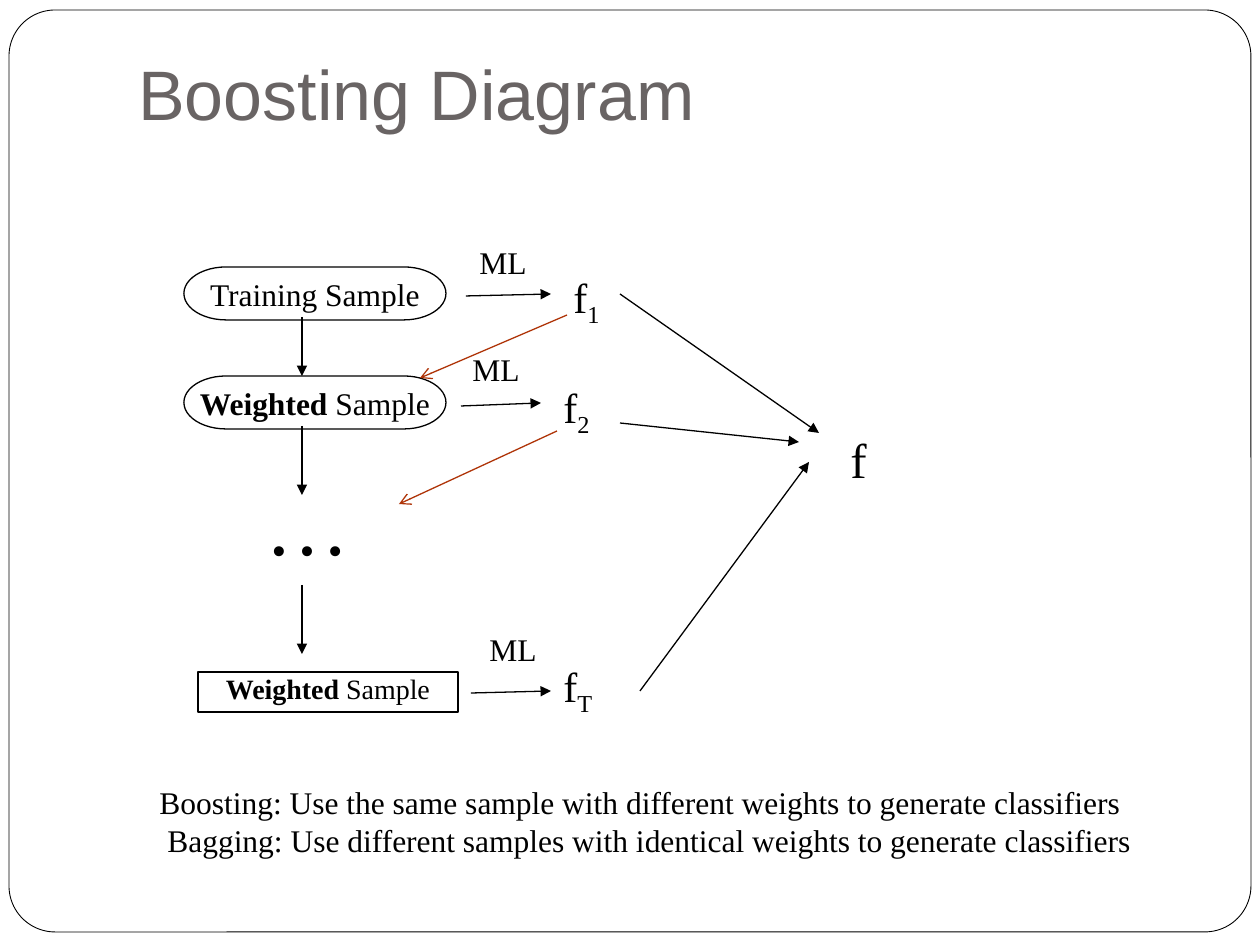
from dataclasses import dataclass

from lxml import etree
from pptx import Presentation
from pptx.dml.color import RGBColor
from pptx.enum.shapes import MSO_CONNECTOR, MSO_SHAPE
from pptx.enum.text import MSO_ANCHOR, MSO_AUTO_SIZE, PP_ALIGN
from pptx.oxml.ns import qn
from pptx.util import Emu, Pt

STRAIGHT = MSO_CONNECTOR.STRAIGHT
ROUNDED = MSO_SHAPE.ROUNDED_RECTANGLE
TERMINATOR = MSO_SHAPE.FLOWCHART_TERMINATOR
RECTANGLE = MSO_SHAPE.RECTANGLE
TOP, MIDDLE, BOTTOM = MSO_ANCHOR.TOP, MSO_ANCHOR.MIDDLE, MSO_ANCHOR.BOTTOM
GROW = MSO_AUTO_SIZE.SHAPE_TO_FIT_TEXT
CENTER = PP_ALIGN.CENTER
EMU_PER_PX = 914400 / 126


@dataclass(frozen=True)
class Theme:
    ink: RGBColor = RGBColor(0, 0, 0)
    paper: RGBColor = RGBColor(255, 255, 255)
    heading: RGBColor = RGBColor(0x69, 0x64, 0x64)
    feedback: RGBColor = RGBColor(0xAF, 0x34, 0x08)
    heading_font: str = "Arial"
    body_font: str = "Times New Roman"
    heading_size: int = 40
    body_size: int = 18
    small_size: int = 16
    classifier_size: int = 24
    final_size: int = 28
    dots_size: int = 48
    frame_width: float = 0.5
    line_width: float = 0.75


THEME = Theme()


def px(length):
    return Emu(round(length * EMU_PER_PX))


def style_font(paragraph, size, name=THEME.body_font, color=THEME.ink):
    paragraph.font.size = Pt(size)
    paragraph.font.name = name
    paragraph.font.color.rgb = color


def add_label(slide, box, text, size, wrap=False):
    label = slide.shapes.add_textbox(*map(px, box))
    frame = label.text_frame
    frame.word_wrap = wrap
    frame.auto_size = GROW
    frame.text = text
    for paragraph in frame.paragraphs:
        style_font(paragraph, size)
    return frame


def add_title(slide, box, text):
    frame = slide.shapes.add_textbox(*map(px, box)).text_frame
    frame.word_wrap = True
    frame.vertical_anchor = BOTTOM
    frame.margin_bottom = frame.margin_left
    frame.text = text
    style_font(frame.paragraphs[0], THEME.heading_size, THEME.heading_font, THEME.heading)


def add_classifier(slide, box, index, wrap=True):
    paragraph = add_label(slide, box, "f", THEME.classifier_size, wrap).paragraphs[0]
    subscript = paragraph.add_run()
    subscript.text = index
    subscript._r.get_or_add_rPr().set("baseline", "-25000")


def add_outline(slide, kind, box, width):
    outline = slide.shapes.add_shape(kind, *map(px, box))
    outline.shadow.inherit = False
    outline.fill.background()
    outline.line.color.rgb = THEME.ink
    outline.line.width = Pt(width)
    return outline


def add_frame(slide, box):
    frame = add_outline(slide, ROUNDED, box, THEME.frame_width)
    frame.adjustments[0] = 0.05
    frame.fill.solid()
    frame.fill.fore_color.rgb = THEME.paper


def add_sample(slide, kind, box, qualifier, noun, size, anchor=MIDDLE, wrap=False, spacing=1.0):
    frame = add_outline(slide, kind, box, THEME.line_width).text_frame
    frame.word_wrap = wrap
    frame.vertical_anchor = anchor
    paragraph = frame.paragraphs[0]
    paragraph.alignment = CENTER
    paragraph.line_spacing = spacing
    style_font(paragraph, size)
    if qualifier:
        weighted = paragraph.add_run()
        weighted.text = qualifier
        weighted.font.bold = True
    paragraph.add_run().text = noun


def add_arrow(slide, start, end, color=THEME.ink, head="triangle"):
    arrow = slide.shapes.add_connector(STRAIGHT, *map(px, start + end))
    arrow.line.color.rgb = color
    arrow.line.width = Pt(THEME.line_width)
    etree.SubElement(arrow.line._get_or_add_ln(), qn("a:tailEnd"), type=head)
    etree.SubElement(arrow._element.spPr, qn("a:effectLst"))


def add_summary(slide, box):
    frame = add_label(
        slide,
        box,
        "Boosting: Use the same sample with different weights to generate classifiers\n"
        "Bagging: Use different samples with identical weights to generate classifiers",
        THEME.body_size,
        wrap=True,
    )
    frame.paragraphs[1]._p.get_or_add_pPr().set("marL", str(px(8)))


def main():
    deck = Presentation()
    deck.slide_width, deck.slide_height = px(1260), px(945)
    slide = deck.slides.add_slide(deck.slide_layouts[6])

    add_frame(slide, (9, 10, 1242, 922))
    add_title(slide, (126, 38, 1071, 109), "Boosting Diagram")

    add_sample(slide, TERMINATOR, (184, 267, 262, 53), "", "Training Sample", THEME.body_size)
    add_sample(slide, TERMINATOR, (184, 376, 262, 53), "Weighted", " Sample", THEME.body_size)
    add_sample(slide, RECTANGLE, (198, 672, 260, 40), "Weighted", " Sample",
               THEME.small_size, TOP, True, 0.8)
    add_label(slide, (253, 465, 108, 113), "…", THEME.dots_size)

    for left, top in ((467, 237), (460, 344), (477, 624)):
        add_label(slide, (left, top, 76, 50), "ML", THEME.body_size)
    add_classifier(slide, (561, 265, 105, 71), "1")
    add_classifier(slide, (551, 375, 105, 71), "2")
    add_classifier(slide, (551, 654, 56, 71), "T", wrap=False)
    add_label(slide, (838, 423, 42, 72), "f", THEME.final_size)

    for top, bottom in ((317, 376), (426, 495), (585, 654)):
        add_arrow(slide, (302, top), (302, bottom))

    learning = (((466, 296), (551, 294)), ((461, 406), (541, 403)), ((471, 693), (551, 691)))
    combining = (((620, 294), (819, 433)), ((620, 423), (799, 442)), ((640, 691), (809, 462)))
    for start, end in learning + combining:
        add_arrow(slide, start, end)
    for start, end in (((567, 315), (420, 378)), ((557, 431), (399, 504))):
        add_arrow(slide, start, end, THEME.feedback, "arrow")

    add_summary(slide, (147, 777, 1050, 88))
    deck.save("out.pptx")


if __name__ == "__main__":
    main()
